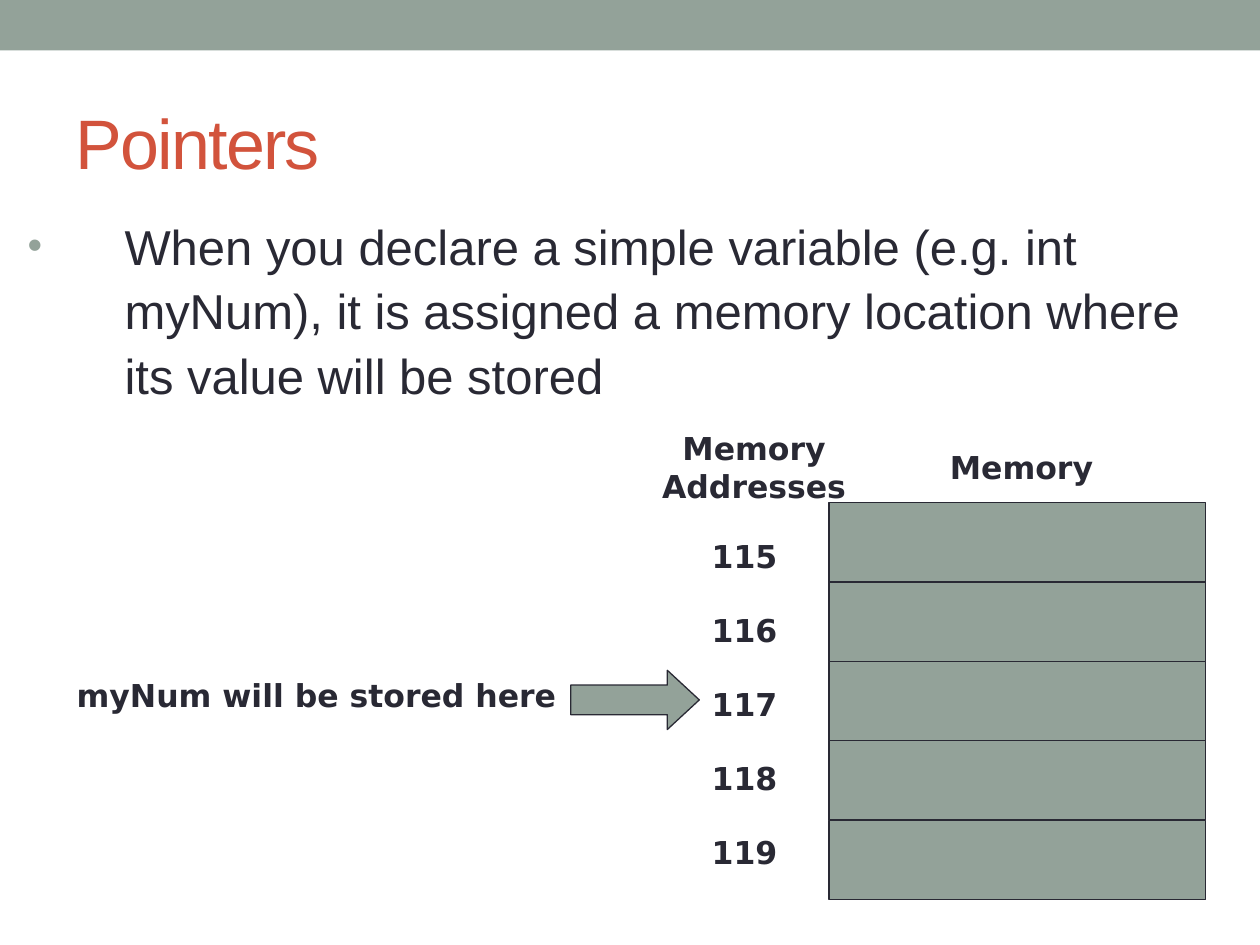
from collections import namedtuple
from lxml.etree import SubElement
from pptx import Presentation
from pptx.dml.color import RGBColor
from pptx.enum.shapes import MSO_SHAPE
from pptx.enum.text import MSO_ANCHOR, PP_ALIGN
from pptx.oxml.ns import qn
from pptx.util import Inches, Pt

SAGE = RGBColor(0x93, 0xA2, 0x99)
INK = RGBColor(0x29, 0x29, 0x34)
RUST = RGBColor(0xD2, 0x53, 0x3C)
UNIT = Inches(0.1)  # the slide is a grid of 100 columns by 75 rows
COLS, ROWS = 100, 75

Box = namedtuple("Box", "left top width height")


def within(box, left, top, width, height):
    """Place a part by its offset from the corner of its region."""
    return Box(box.left + left, box.top + top, width, height)


def emu(box):
    return [round(side * UNIT) for side in box]


def add_text(slide, box, lines, size=18, font="DejaVu Sans", color=INK, bold=True):
    frame = slide.shapes.add_textbox(*emu(box)).text_frame
    frame.word_wrap = True
    frame.text = "\n".join(lines)
    for para in frame.paragraphs:
        for run in para.runs:
            run.font.size = Pt(size)
            run.font.name = font
            run.font.bold = bold
            run.font.color.rgb = color
    return frame


def add_block(slide, box, kind=MSO_SHAPE.RECTANGLE, line=True):
    block = slide.shapes.add_shape(kind, *emu(box))
    block.shadow.inherit = False
    block.fill.solid()
    block.fill.fore_color.rgb = SAGE
    if line:
        block.line.color.rgb = INK
        block.line.width = Pt(0.75)
    else:
        block.line.fill.background()
    return block


def add_title(slide, box, text):
    frame = add_text(slide, box, [text], 40, "Arial", RUST, False)
    frame.vertical_anchor = MSO_ANCHOR.MIDDLE
    # Tighten the letters by one point
    frame.paragraphs[0].runs[0]._r.get_or_add_rPr().set("spc", "-100")


def add_body(slide, box, text):
    para = add_text(slide, box, [text], 28, "Arial", INK, False).paragraphs[0]
    para.line_spacing = 1.1
    para.space_before = para.space_after = Pt(6)
    # Bullet with a hanging indent
    props = para._p.get_or_add_pPr()
    indent = round(7.7 * UNIT)
    props.set("marL", str(indent))
    props.set("indent", str(-indent))
    tint = SubElement(props, qn("a:buClr"))
    SubElement(tint, qn("a:srgbClr")).set("val", str(SAGE))
    SubElement(props, qn("a:buSzPct")).set("val", "85000")
    SubElement(props, qn("a:buFont")).set("typeface", "Arial")
    SubElement(props, qn("a:buChar")).set("char", "•")


def add_memory(slide, box, cells):
    """Stack equal cells under a heading."""
    head = 6.3
    step = (box.height - head) / cells
    for row in range(cells):
        add_block(slide, within(box, 0, head + row * step, box.width, step))
    add_text(slide, within(box, 8.6, 1.5, 18.1, 4), ["Memory"])


def add_addresses(slide, box, first, count):
    head = add_text(slide, within(box, 0, 0, box.width, 7), ["Memory Addresses"])
    head.paragraphs[0].alignment = PP_ALIGN.CENTER
    labels = [str(first + row) for row in range(count)]
    frame = add_text(slide, within(box, 4.7, 7, 7.9, box.height - 7), labels)
    for row, para in enumerate(frame.paragraphs):
        para.line_spacing = 1.5
        para.space_before = Pt(10 if row else 0)


def add_pointer(slide, box, text):
    """Put a label on the left and an arrow on the right."""
    add_text(slide, within(box, 0, 0, 41, 4), [text])
    arrow = add_block(slide, within(box, box.width - 10.2, 0, 10.2, box.height),
                      MSO_SHAPE.RIGHT_ARROW)
    arrow.adjustments[0] = 0.5
    arrow.adjustments[1] = 0.54


def main():
    deck = Presentation()
    deck.slide_width, deck.slide_height = COLS * UNIT, ROWS * UNIT
    slide = deck.slides.add_slide(deck.slide_layouts[6])

    # Band, title and statement
    add_block(slide, Box(0, 0, COLS, 4), line=False)
    add_title(slide, Box(5, 5.8, 90, 10.8), "Pointers")
    add_body(slide, Box(1.2, 16.2, 94.5, 22.8),
             "When you declare a simple variable (e.g. int myNum), "
             "it is assigned a memory location where its value will be stored")

    # Memory diagram
    add_memory(slide, Box(65.8, 33.6, 29.9, 37.8), 5)
    add_addresses(slide, Box(50.8, 33.6, 18.1, 36.2), 115, 5)
    add_pointer(slide, Box(5.1, 53.2, 50.4, 4.7), "myNum will be stored here")

    deck.save("out.pptx")


if __name__ == "__main__":
    main()
